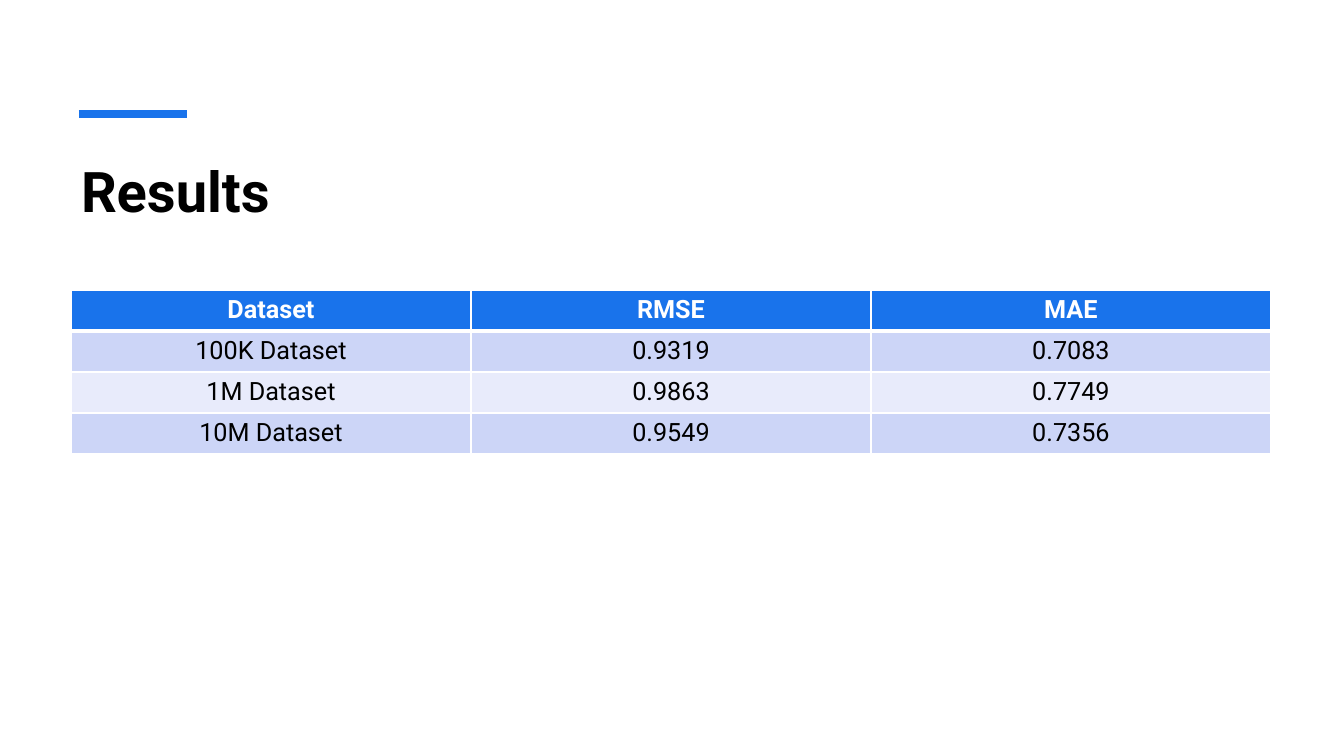
from lxml.etree import SubElement
from pptx import Presentation
from pptx.dml.color import RGBColor
from pptx.enum.shapes import MSO_CONNECTOR
from pptx.enum.text import MSO_ANCHOR, MSO_AUTO_SIZE, PP_ALIGN
from pptx.oxml.ns import qn
from pptx.util import Emu, Pt

TITLE = "Results"
RESULTS = [
    ("Dataset", "RMSE", "MAE"),
    ("100K Dataset", "0.9319", "0.7083"),
    ("1M Dataset", "0.9863", "0.7749"),
    ("10M Dataset", "0.9549", "0.7356"),
]
FONT = "Roboto"
BLUE, WHITE, BLACK = "1973EB", "FFFFFF", "000000"
BANDS = ("CCD5F7", "E8EBFB")

SLIDE_W, SLIDE_H = 1344, 756
LEFT, CONTENT_W = 71, 1200
ACCENT_X, ACCENT_Y, ACCENT_W = 79, 114, 108
TITLE_Y, TITLE_H = 151, 121
TABLE_Y, ROW_H = 290, 41


def px(n):
    return Emu(round(n * 914400 / 100.8))


def rgb(color):
    return RGBColor.from_string(color)


def style(p, size, color, bold, align):
    p.alignment = align
    for r in p.runs:
        r.font.name, r.font.size, r.font.bold = FONT, Pt(size), bold
        r.font.color.rgb = rgb(color)


def set_borders(cell, top, bottom):
    """White cell borders; side lines are 1 pt, widths given in points."""
    tc_pr = cell._tc.get_or_add_tcPr()
    sides = (("a:lnL", 1), ("a:lnR", 1), ("a:lnT", top), ("a:lnB", bottom))
    for i, (tag, width) in enumerate(sides):
        ln = SubElement(tc_pr, qn(tag), w=str(Pt(width)))
        SubElement(SubElement(ln, qn("a:solidFill")), qn("a:srgbClr"), val=WHITE)
        tc_pr.insert(i, ln)


def add_accent(slide):
    line = slide.shapes.add_connector(
        MSO_CONNECTOR.STRAIGHT, px(ACCENT_X), px(ACCENT_Y),
        px(ACCENT_X + ACCENT_W), px(ACCENT_Y))
    line.line.color.rgb = rgb(BLUE)
    line.line.width = Pt(6)
    SubElement(line._element.spPr, qn("a:effectLst"))


def set_title(slide):
    title = slide.shapes.title
    title.left, title.top = px(LEFT), px(TITLE_Y)
    title.width, title.height = px(CONTENT_W), px(TITLE_H)
    tf = title.text_frame
    tf.text = TITLE
    tf.word_wrap = True
    tf.auto_size = MSO_AUTO_SIZE.NONE
    tf.vertical_anchor = MSO_ANCHOR.TOP
    style(tf.paragraphs[0], 40, BLACK, True, PP_ALIGN.LEFT)


def add_results(slide):
    rows, cols = len(RESULTS), len(RESULTS[0])
    table = slide.shapes.add_table(
        rows, cols, px(LEFT), px(TABLE_Y), px(CONTENT_W), px(ROW_H * rows)).table
    for i, values in enumerate(RESULTS):
        header = i == 0
        for j, value in enumerate(values):
            cell = table.cell(i, j)
            cell.text = value
            cell.fill.solid()
            cell.fill.fore_color.rgb = rgb(BLUE if header else BANDS[(i - 1) % 2])
            style(cell.text_frame.paragraphs[0], 18,
                  WHITE if header else BLACK, header, PP_ALIGN.CENTER)
            set_borders(cell, top=3 if i == 1 else 1, bottom=3 if header else 1)


def main():
    prs = Presentation()
    prs.slide_width, prs.slide_height = px(SLIDE_W), px(SLIDE_H)
    slide = prs.slides.add_slide(prs.slide_layouts[5])
    add_accent(slide)
    set_title(slide)
    add_results(slide)
    prs.save("out.pptx")


if __name__ == "__main__":
    main()
